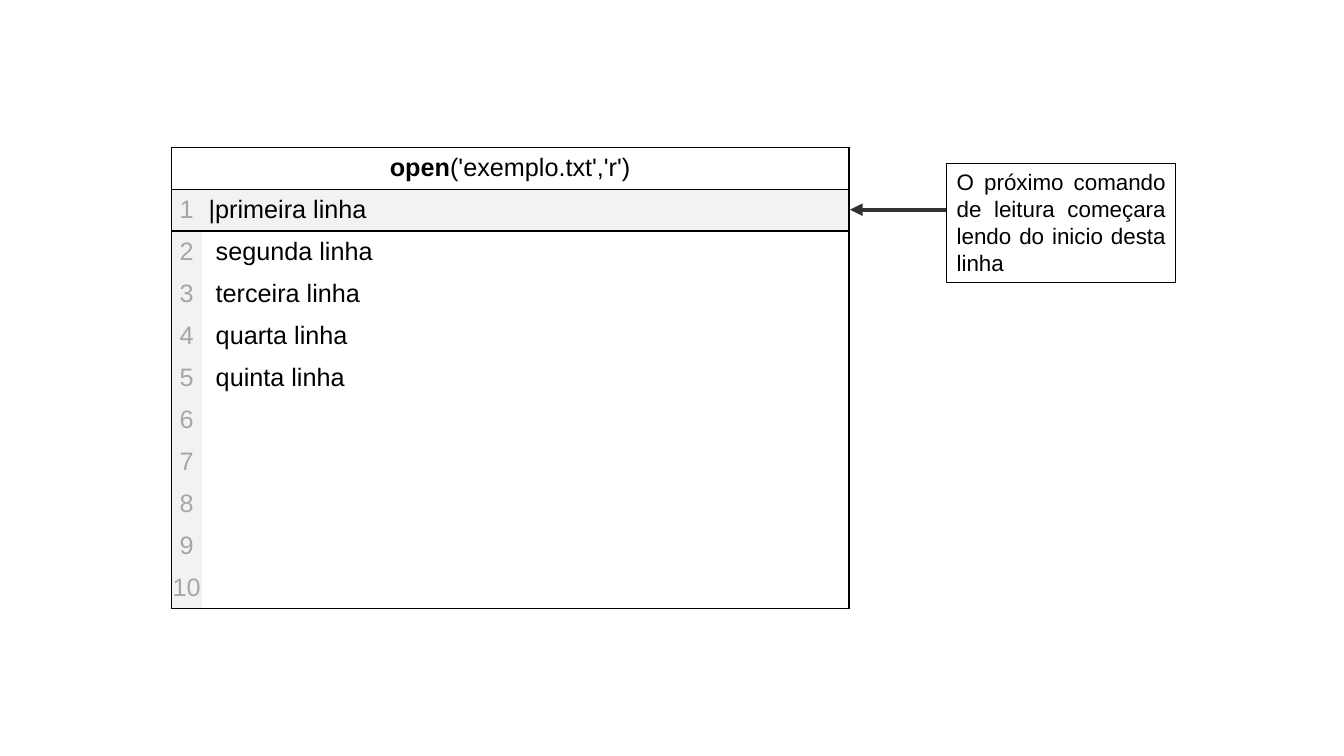
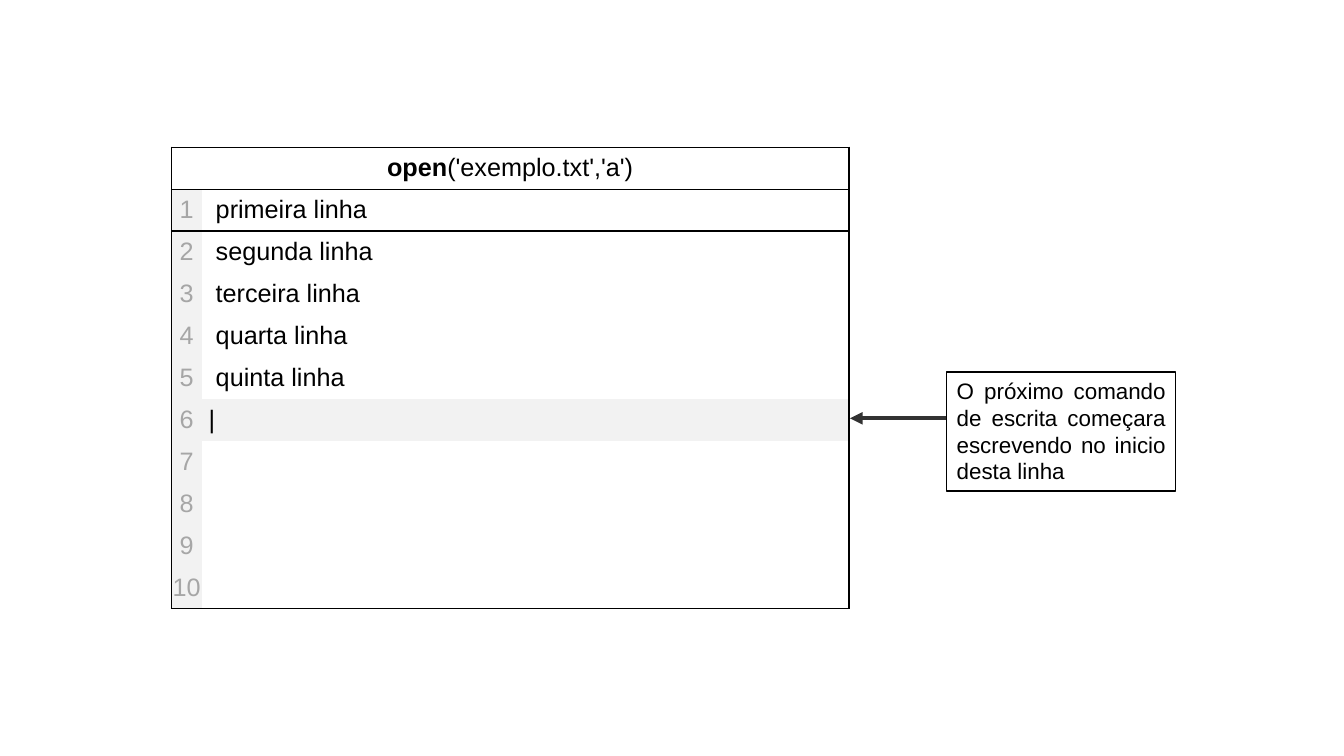
"""Build two slides showing where the next file read or write takes place."""
from dataclasses import dataclass

from pptx import Presentation
from pptx.dml.color import RGBColor
from pptx.enum.shapes import MSO_CONNECTOR, MSO_SHAPE
from pptx.enum.text import MSO_ANCHOR, MSO_AUTO_SIZE, PP_ALIGN
from pptx.oxml import parse_xml
from pptx.oxml.ns import nsdecls, qn
from pptx.presentation import Presentation as PresentationType
from pptx.slide import Slide
from pptx.table import _Cell as Cell
from pptx.text.text import _Paragraph as Paragraph
from pptx.util import Inches, Pt

FONT = "Arial"
BLACK, WHITE = "000000", "FFFFFF"
NUMBER_GRAY, HIGHLIGHT, ARROW_GRAY = "A6A6A6", "F2F2F2", "323232"
PLAIN_TABLE_STYLE = "{2D5ABB26-0587-4C30-8999-92F81FD0307C}"

TABLE_LEFT, TABLE_TOP, TABLE_HEIGHT = 1.7, 1.46, 4.58
NUMBER_WIDTH, TEXT_WIDTH = 0.3, 6.42
LINE_COUNT = 10
CURSOR_INDENT, TEXT_INDENT = 0.07, 0.14
NOTE_LEFT, NOTE_WIDTH, NOTE_HEIGHT = 9.39, 2.27, 1.18
NOTE_RISE = 0.46
ARROW_END = 8.43
FILE_LINES = (
    "primeira linha",
    "segunda linha",
    "terceira linha",
    "quarta linha",
    "quinta linha",
)


@dataclass(frozen=True)
class FileView:
    mode: str
    cursor_line: int
    arrow_y: float
    note: str


VIEWS = (
    FileView("r", 1, 2.08,
             "O próximo comando de leitura começara lendo do inicio desta linha"),
    FileView("a", 6, 4.15,
             "O próximo comando de escrita começara escrevendo no inicio desta linha"),
)


def rgb(value: str) -> RGBColor:
    return RGBColor.from_string(value)


def add_text(paragraph: Paragraph, text: str, *, size: float = 18,
             color: str = BLACK, bold: bool = False,
             align: PP_ALIGN = PP_ALIGN.LEFT) -> None:
    paragraph.alignment = align
    run = paragraph.add_run()
    run.text = text
    run.font.name = FONT
    run.font.size = Pt(size)
    run.font.bold = bold
    run.font.color.rgb = rgb(color)


def format_cell(cell: Cell, *, fill: str, borders: str, indent: float = 0) -> None:
    cell.margin_left = Inches(indent)
    cell.margin_right = cell.margin_top = cell.margin_bottom = Inches(0)
    cell.vertical_anchor = MSO_ANCHOR.MIDDLE
    properties = cell._tc.get_or_add_tcPr()
    for side in borders:
        properties.append(parse_xml(
            f'<a:ln{side} {nsdecls("a")} w="{Pt(1)}"><a:solidFill>'
            f'<a:srgbClr val="{BLACK}"/></a:solidFill></a:ln{side}>'))
    cell.fill.solid()
    cell.fill.fore_color.rgb = rgb(fill)


def add_file_table(slide: Slide, view: FileView) -> None:
    table = slide.shapes.add_table(
        LINE_COUNT + 1, 2, Inches(TABLE_LEFT), Inches(TABLE_TOP),
        Inches(NUMBER_WIDTH + TEXT_WIDTH), Inches(TABLE_HEIGHT)).table
    table.first_row = table.horz_banding = False
    table._tbl.tblPr.find(qn("a:tableStyleId")).text = PLAIN_TABLE_STYLE
    for column, width in zip(table.columns, (NUMBER_WIDTH, TEXT_WIDTH)):
        column.width = Inches(width)
    for row in table.rows:
        row.height = Inches(TABLE_HEIGHT / (LINE_COUNT + 1))

    header = table.cell(0, 0)
    header.merge(table.cell(0, 1))
    format_cell(header, fill=WHITE, borders="LRTB")
    format_cell(table.cell(0, 1), fill=WHITE, borders="RTB")
    title = header.text_frame.paragraphs[0]
    add_text(title, "open", bold=True, align=PP_ALIGN.CENTER)
    add_text(title, f"('exemplo.txt','{view.mode}')", align=PP_ALIGN.CENTER)

    for number in range(1, LINE_COUNT + 1):
        edges = {1: "T", LINE_COUNT: "B"}.get(number, "")
        number_cell, text_cell = table.cell(number, 0), table.cell(number, 1)
        format_cell(number_cell, fill=HIGHLIGHT, borders="L" + edges)
        add_text(number_cell.text_frame.paragraphs[0], str(number),
                 color=NUMBER_GRAY, align=PP_ALIGN.CENTER)

        at_cursor = number == view.cursor_line
        format_cell(text_cell, fill=HIGHLIGHT if at_cursor else WHITE,
                    borders="R" + edges,
                    indent=CURSOR_INDENT if at_cursor else TEXT_INDENT)
        content = FILE_LINES[number - 1] if number <= len(FILE_LINES) else ""
        if at_cursor:
            content = "|" + content
        if content:
            add_text(text_cell.text_frame.paragraphs[0], content)


def add_note(slide: Slide, view: FileView) -> None:
    group = slide.shapes.add_group_shape()
    arrow = group.shapes.add_connector(
        MSO_CONNECTOR.STRAIGHT, Inches(NOTE_LEFT), Inches(view.arrow_y),
        Inches(ARROW_END), Inches(view.arrow_y))
    arrow.line.color.rgb = rgb(ARROW_GRAY)
    arrow.line.width = Pt(3)
    arrow.line._get_or_add_ln().append(
        parse_xml(f'<a:tailEnd {nsdecls("a")} type="triangle"/>'))
    arrow._element.spPr.append(parse_xml(f'<a:effectLst {nsdecls("a")}/>'))

    box = group.shapes.add_shape(
        MSO_SHAPE.RECTANGLE, Inches(NOTE_LEFT), Inches(view.arrow_y - NOTE_RISE),
        Inches(NOTE_WIDTH), Inches(NOTE_HEIGHT))
    box.shadow.inherit = False
    box.fill.solid()
    box.fill.fore_color.rgb = rgb(WHITE)
    box.line.color.rgb = rgb(BLACK)
    box.line.width = Pt(1)
    frame = box.text_frame
    frame.word_wrap = True
    frame.auto_size = MSO_AUTO_SIZE.SHAPE_TO_FIT_TEXT
    frame.vertical_anchor = MSO_ANCHOR.TOP
    add_text(frame.paragraphs[0], view.note, size=16, align=PP_ALIGN.JUSTIFY)


def add_file_slide(presentation: PresentationType, view: FileView) -> None:
    slide = presentation.slides.add_slide(presentation.slide_layouts[6])
    add_file_table(slide, view)
    add_note(slide, view)


def main() -> None:
    presentation = Presentation()
    presentation.slide_width = Inches(13.33)
    presentation.slide_height = Inches(7.5)
    for view in VIEWS:
        add_file_slide(presentation, view)
    presentation.save("out.pptx")


if __name__ == "__main__":
    main()
